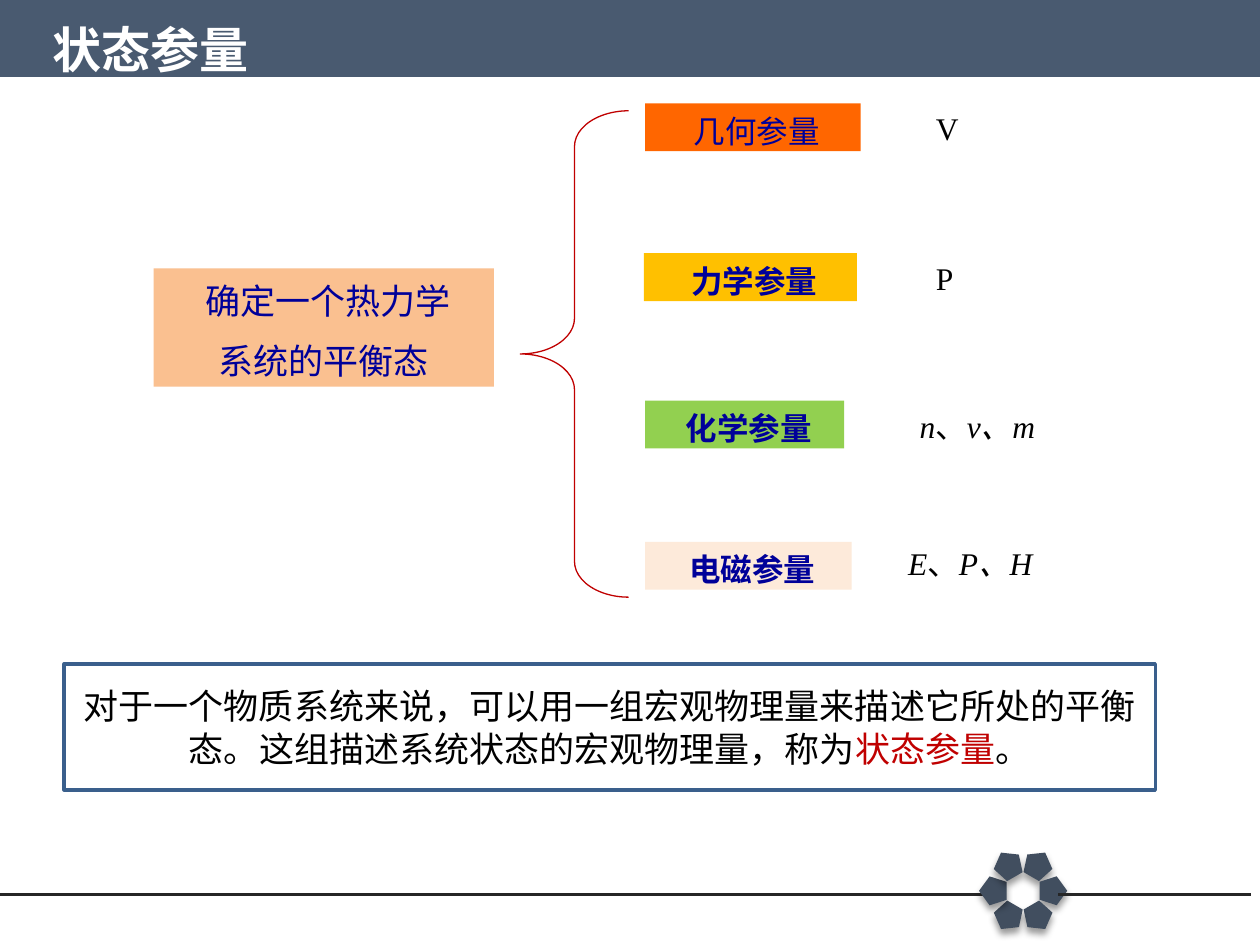
from math import cos, radians, sin

from lxml.etree import SubElement
from pptx import Presentation
from pptx.dml.color import RGBColor
from pptx.enum.shapes import MSO_CONNECTOR, MSO_SHAPE
from pptx.enum.text import MSO_ANCHOR, MSO_AUTO_SIZE, PP_ALIGN
from pptx.oxml.ns import qn
from pptx.util import Pt

PX = 9144  # EMU in one px, 100 px to the inch
COLORS = {
    "bar": "495A70", "pentagon": "414E5F", "rule": "262626", "white": "FFFFFF",
    "black": "000000", "navy": "000099", "red": "C00000", "peach": "FAC090",
    "orange": "FF6600", "amber": "FFC000", "green": "92D050",
    "blush": "FDEADA", "frame": "3A5F8C",
}
SERIF, SANS, CJK, HEAD = "Times New Roman", "Arial", "Noto Sans CJK SC", "Calibri"

# label, box (left, top, width), fill, bold, symbols, symbols (left, top, width)
PARAMETERS = [
    ("几何参量", (512, 82, 171), "orange", False, "V", (733, 82, 41)),
    ("力学参量", (511, 201, 169), "amber", True, "P", (733, 201, 37)),
    ("化学参量", (512, 318, 158), "green", True, "n、ν、m", (720, 318, 150)),
    ("电磁参量", (512, 430, 164), "blush", True, "E、P、H", (711, 427, 159)),
]


def px(*lengths):
    return [round(length * PX) for length in lengths]


def rgb(name):
    return RGBColor.from_string(COLORS[name])


def add_run(paragraph, text, size=18, font=SERIF, east_asian=None,
            color="black", bold=False, italic=False):
    run = paragraph.add_run()
    run.text = text
    run.font.size = Pt(size)
    run.font.name = font
    run.font.bold = bold
    run.font.italic = italic
    run.font.color.rgb = rgb(color)
    SubElement(run.font._element, qn("a:ea"), typeface=east_asian or font)


def add_shape(shapes, kind, box, fill=None, line=None, weight=1):
    shape = shapes.add_shape(kind, *px(*box))
    shape.shadow.inherit = False
    if fill:
        shape.fill.solid()
        shape.fill.fore_color.rgb = rgb(fill)
    else:
        shape.fill.background()
    if line:
        shape.line.color.rgb = rgb(line)
        shape.line.width = Pt(weight)
    else:
        shape.line.fill.background()
    return shape


def format_paragraph(paragraph, pitch, before=0, align=PP_ALIGN.CENTER):
    paragraph.alignment = align
    paragraph.line_spacing = Pt(pitch)
    paragraph.space_before = Pt(before)


def add_title(slide, left, top, width, height):
    """Draw the top bar and lay the title placeholder over it."""
    add_shape(slide.shapes, MSO_SHAPE.RECTANGLE, (0, 0, 1000, 61), "bar")
    title = slide.shapes.title
    title.left, title.top, title.width, title.height = px(left, top, width, height)
    frame = title.text_frame
    frame.auto_size = MSO_AUTO_SIZE.NONE
    frame.vertical_anchor = MSO_ANCHOR.TOP
    format_paragraph(frame.paragraphs[0], 36, align=PP_ALIGN.LEFT)
    add_run(frame.paragraphs[0], "状态参量", size=28, font=HEAD,
            east_asian=CJK, color="white", bold=True)
    slide.shapes._spTree.append(title._element)


def add_rule(slide, left, right, y):
    rule = slide.shapes.add_connector(MSO_CONNECTOR.STRAIGHT, *px(left, y, right, y))
    rule.line.color.rgb = rgb("rule")
    rule.line.width = Pt(1.75)
    SubElement(rule._element.spPr, qn("a:effectLst"))


def add_soft_shadow(shape):
    effects = shape._element.spPr.find(qn("a:effectLst"))
    shadow = SubElement(effects, qn("a:outerShdw"), blurRad=str(Pt(4)),
                        dist=str(Pt(3)), dir="5400000", rotWithShape="0")
    color = SubElement(shadow, qn("a:srgbClr"), val=COLORS["black"])
    SubElement(color, qn("a:alpha"), val="40000")


def add_footer(slide, center_x, center_y, radius):
    """Draw two rules joined by a ring of pentagons."""
    add_rule(slide, 0, 781, 710)
    ring = slide.shapes.add_group_shape()
    width, height = 23, 22
    for turn in range(30, 390, 60):
        angle = turn + 0 if turn % 180 else turn
        x = center_x + radius * sin(radians(angle))
        y = center_y - radius * cos(radians(angle))
        pentagon = add_shape(ring.shapes, MSO_SHAPE.REGULAR_PENTAGON,
                             (x - width / 2, y - height / 2, width, height), "pentagon")
        pentagon.rotation = turn % 360
        add_soft_shadow(pentagon)
    add_rule(slide, 840, 993, 710)


def add_subject(shapes, *box):
    subject = add_shape(shapes, MSO_SHAPE.RECTANGLE, box, "peach")
    frame = subject.text_frame
    frame.vertical_anchor = MSO_ANCHOR.TOP
    first, second = frame.paragraphs[0], frame.add_paragraph()
    format_paragraph(first, 27)
    add_run(first, " ", size=20)
    add_run(first, "确定一个热力学", size=20, font=CJK, color="navy")
    format_paragraph(second, 27, before=7)
    add_run(second, "系统的平衡态", size=20, font=CJK, color="navy")


def add_parameter(shapes, label, label_box, fill, bold, symbols, symbols_box):
    """Add a coloured label and the symbols that belong to it."""
    shape = add_shape(shapes, MSO_SHAPE.RECTANGLE, (*label_box, 38), fill)
    shape.text_frame.vertical_anchor = MSO_ANCHOR.TOP
    paragraph = shape.text_frame.paragraphs[0]
    format_paragraph(paragraph, 23)
    add_run(paragraph, " ")
    add_run(paragraph, label, font=SERIF if bold else CJK, east_asian=CJK,
            color="navy", bold=bold)

    text_box = shapes.add_textbox(*px(*symbols_box, 54))
    text_box.text_frame.word_wrap = False
    paragraph = text_box.text_frame.paragraphs[0]
    several = len(symbols) > 1
    for index, symbol in enumerate(symbols):
        add_run(paragraph, symbol, font=SANS if symbol == "、" else SERIF,
                italic=several and index != 1)


def add_diagram(slide):
    shapes = slide.shapes.add_group_shape().shapes
    add_subject(shapes, 122, 213, 270, 94)
    brace = add_shape(shapes, MSO_SHAPE.LEFT_BRACE, (413, 88, 86, 386),
                      line="red", weight=0.75)
    brace.adjustments[0] = 0.33
    for parameter in PARAMETERS:
        add_parameter(shapes, *parameter)


def add_statement(slide, *box):
    statement = add_shape(slide.shapes, MSO_SHAPE.RECTANGLE, box, "white", "frame", 2)
    frame = statement.text_frame
    frame.word_wrap = True
    frame.vertical_anchor = MSO_ANCHOR.MIDDLE
    paragraph = frame.paragraphs[0]
    format_paragraph(paragraph, 24)
    for text, color in [
        ("对于一个物质系统来说，可以用一组宏观物理量来描述它所处的平衡态。"
         "这组描述系统状态的宏观物理量，称为", "black"),
        ("状态参量", "red"),
        ("。", "black"),
    ]:
        add_run(paragraph, text, size=20, font=CJK, color=color)


def main():
    presentation = Presentation()
    presentation.slide_width, presentation.slide_height = px(1000, 750)
    slide = presentation.slides.add_slide(presentation.slide_layouts[5])
    add_title(slide, 32, 7, 225, 57)
    add_footer(slide, 812, 707, 24)
    add_diagram(slide)
    add_statement(slide, 51, 527, 866, 100)
    presentation.save("out.pptx")


if __name__ == "__main__":
    main()
